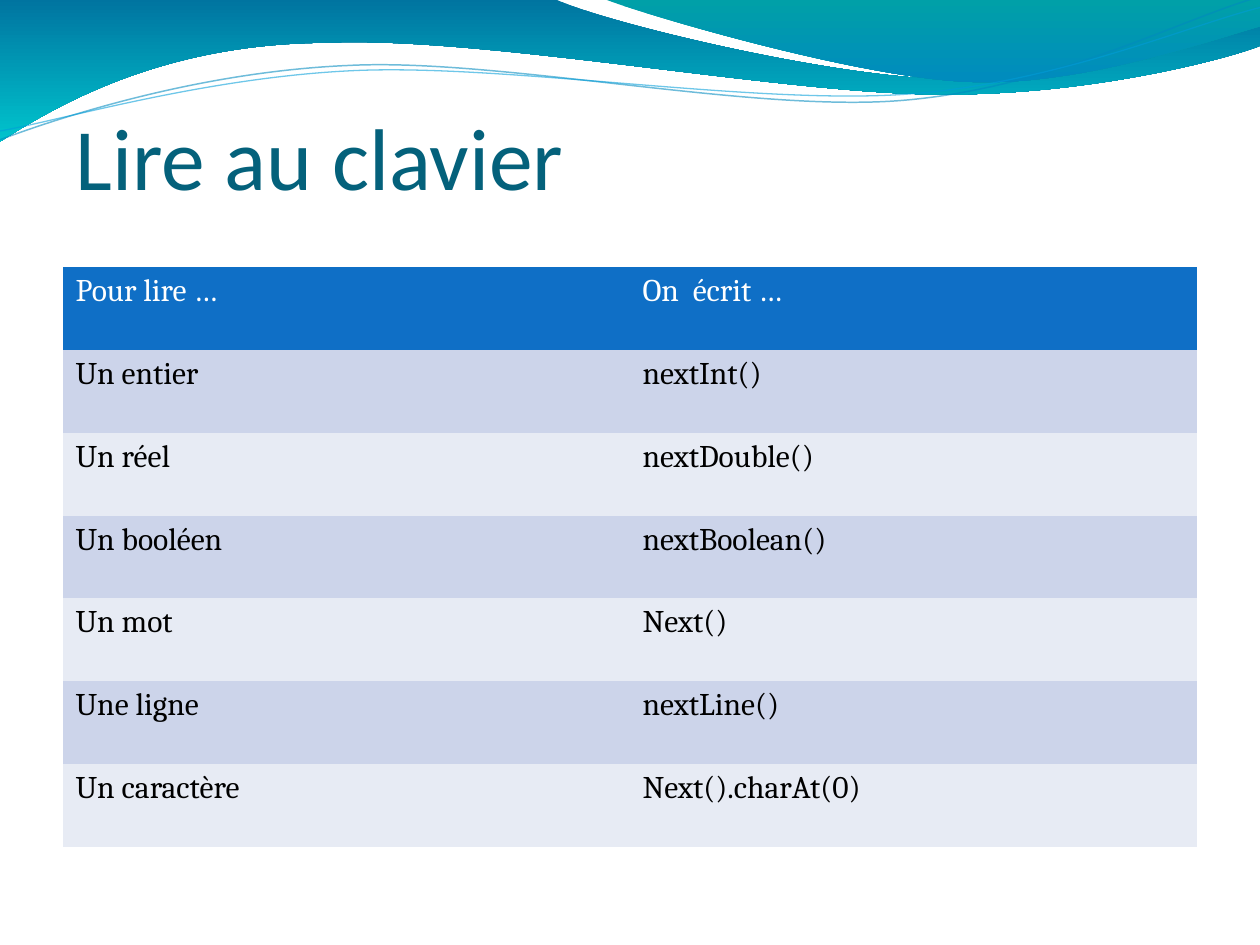
from dataclasses import dataclass
from math import cos, radians, sin

from lxml.etree import SubElement
from pptx import Presentation
from pptx.dml.color import RGBColor
from pptx.enum.text import MSO_ANCHOR
from pptx.oxml.ns import qn
from pptx.util import Inches, Pt


@dataclass(frozen=True)
class Theme:
    title_font: str = "Calibri"
    body_font: str = "Cambria"
    title_size: int = 50
    body_size: int = 18
    title: str = "04617B"
    header: str = "0F6FC6"
    header_text: str = "FFFFFF"
    body_text: str = "000000"
    bands: tuple = ("CCD4EA", "E7EBF4")
    back_wave: tuple = ("0074A0", "00C4CD")
    front_wave: tuple = ("00A0A8", "008ABF")
    upper_line: str = "008ABF"
    lower_line: str = "009DD9"
    line_opacity: int = 56


THEME = Theme()
WIDTH, HEIGHT = 10, 7.5
MARGIN = WIDTH / 20
LINE_TILT = 2.7
LINE_PIVOT = (5, 0.58)
PLAIN_TABLE_STYLE = "{2D5ABB26-0587-4C30-8999-92F81FD0307C}"

# Outlines in inches: a pair is a straight step, six numbers are a Bezier curve.
BACK_WAVE = [
    (0, 0), (4.4, -0.01),
    (4.76, 0.17, 6.64, 0.63, 7.58, 0.63), (8.53, 0.63, 9.58, 0.26, 10, 0.09),
    (10.01, 0.36),
    (9.83, 0.44, 8.7, 0.76, 7.46, 0.75), (6.22, 0.75, 3.82, 0.28, 2.57, 0.34),
    (1.29, 0.35, 0.46, 0.83, -0.01, 1.13),
]
FRONT_WAVE = [
    (4.79, -0.01),
    (5.09, 0.11, 6.82, 0.62, 7.69, 0.65), (8.56, 0.69, 9.61, 0.32, 10, 0.21),
    (10, 0),
]
UPPER_LINE = [
    (0, 1.11),
    (0.48, 0.93, 1.58, 0.57, 2.77, 0.52), (3.95, 0.46, 5.93, 0.89, 7.13, 0.8),
    (8.33, 0.71, 9.38, 0.15, 9.98, -0.02),
]
LOWER_LINE = [
    (0, 1.04),
    (0.47, 0.96, 1.64, 0.61, 2.83, 0.56), (4.03, 0.51, 5.97, 0.83, 7.17, 0.75),
    (8.36, 0.67, 9.41, 0.21, 10, 0.06),
]
ROWS = [
    ("Pour lire …", "On  écrit …"),
    ("Un entier", "nextInt()"),
    ("Un réel", "nextDouble()"),
    ("Un booléen", "nextBoolean()"),
    ("Un mot", "Next()"),
    ("Une ligne", "nextLine()"),
    ("Un caractère", "Next().charAt(0)"),
]


def rgb(value):
    return RGBColor.from_string(value)


def turn(point, degrees):
    """Turn a point clockwise about the pivot of the wave lines."""
    x, y = (value - center for value, center in zip(point, LINE_PIVOT))
    angle = radians(degrees)
    return (LINE_PIVOT[0] + x * cos(angle) - y * sin(angle),
            LINE_PIVOT[1] + x * sin(angle) + y * cos(angle))


def bend_segments(shape, outline):
    """Join each three straight steps that hold Bezier points into one curve."""
    segments = list(shape._element.iter(qn("a:lnTo")))
    for step in outline[1:]:
        first = segments.pop(0)
        if len(step) == 6:
            first.tag = qn("a:cubicBezTo")
            for extra in (segments.pop(0), segments.pop(0)):
                first.append(extra[0])
                extra.getparent().remove(extra)


def add_outline(slide, outline, close, tilt=0):
    pairs = [step[i:i + 2] for step in outline for i in range(0, len(step), 2)]
    points = [tuple(map(Inches, turn(pair, tilt))) for pair in pairs]
    builder = slide.shapes.build_freeform(*points[0])
    builder.add_line_segments(points[1:], close=close)
    shape = builder.convert_to_shape()
    bend_segments(shape, outline)
    shape.rotation = -tilt
    shape.shadow.inherit = False
    return shape


def add_wave(slide, outline, colors):
    shape = add_outline(slide, outline, close=True)
    shape.line.fill.background()
    shape.fill.gradient()
    shape.fill.gradient_angle = 270
    for position, (stop, color) in enumerate(zip(shape.fill.gradient_stops, colors)):
        stop.position = position
        stop.color.rgb = rgb(color)


def add_wave_line(slide, outline, color, width):
    shape = add_outline(slide, outline, close=False, tilt=LINE_TILT)
    shape.fill.background()
    shape.line.width = Pt(width)
    shape.line.color.rgb = rgb(color)
    color_element = next(shape.line._ln.iter(qn("a:srgbClr")))
    SubElement(color_element, qn("a:alpha")).set("val", str(THEME.line_opacity * 1000))


def format_text(text_frame, font_name, size, color):
    for paragraph in text_frame.paragraphs:
        for run in paragraph.runs:
            run.font.name = font_name
            run.font.size = Pt(size)
            run.font.bold = False
            run.font.color.rgb = rgb(color)


def add_title(slide, text):
    box = slide.shapes.add_textbox(
        Inches(MARGIN), Inches(0.77), Inches(WIDTH - 2 * MARGIN), Inches(HEIGHT / 6))
    text_frame = box.text_frame
    text_frame.word_wrap = True
    text_frame.vertical_anchor = MSO_ANCHOR.TOP
    text_frame.text = text
    format_text(text_frame, THEME.title_font, THEME.title_size, THEME.title)


def add_banded_table(slide, rows, top, height):
    frame = slide.shapes.add_table(
        len(rows), len(rows[0]), Inches(MARGIN), Inches(top),
        Inches(WIDTH - 2 * MARGIN), Inches(height))
    table = frame.table
    next(frame._element.iter(qn("a:tableStyleId"))).text = PLAIN_TABLE_STYLE
    for row_index, row in enumerate(rows):
        is_header = row_index == 0
        fill = THEME.header if is_header else THEME.bands[(row_index - 1) % 2]
        color = THEME.header_text if is_header else THEME.body_text
        for column_index, text in enumerate(row):
            cell = table.cell(row_index, column_index)
            cell.fill.solid()
            cell.fill.fore_color.rgb = rgb(fill)
            cell.text_frame.text = text
            format_text(cell.text_frame, THEME.body_font, THEME.body_size, color)


def main():
    presentation = Presentation()
    presentation.slide_width = Inches(WIDTH)
    presentation.slide_height = Inches(HEIGHT)
    slide = presentation.slides.add_slide(presentation.slide_layouts[6])
    add_wave(slide, BACK_WAVE, THEME.back_wave)
    add_wave(slide, FRONT_WAVE, THEME.front_wave)
    add_wave_line(slide, UPPER_LINE, THEME.upper_line, 0.85)
    add_wave_line(slide, LOWER_LINE, THEME.lower_line, 0.75)
    add_title(slide, "Lire au clavier")
    add_banded_table(slide, ROWS, top=2.12, height=4.6)
    presentation.save("out.pptx")


if __name__ == "__main__":
    main()
